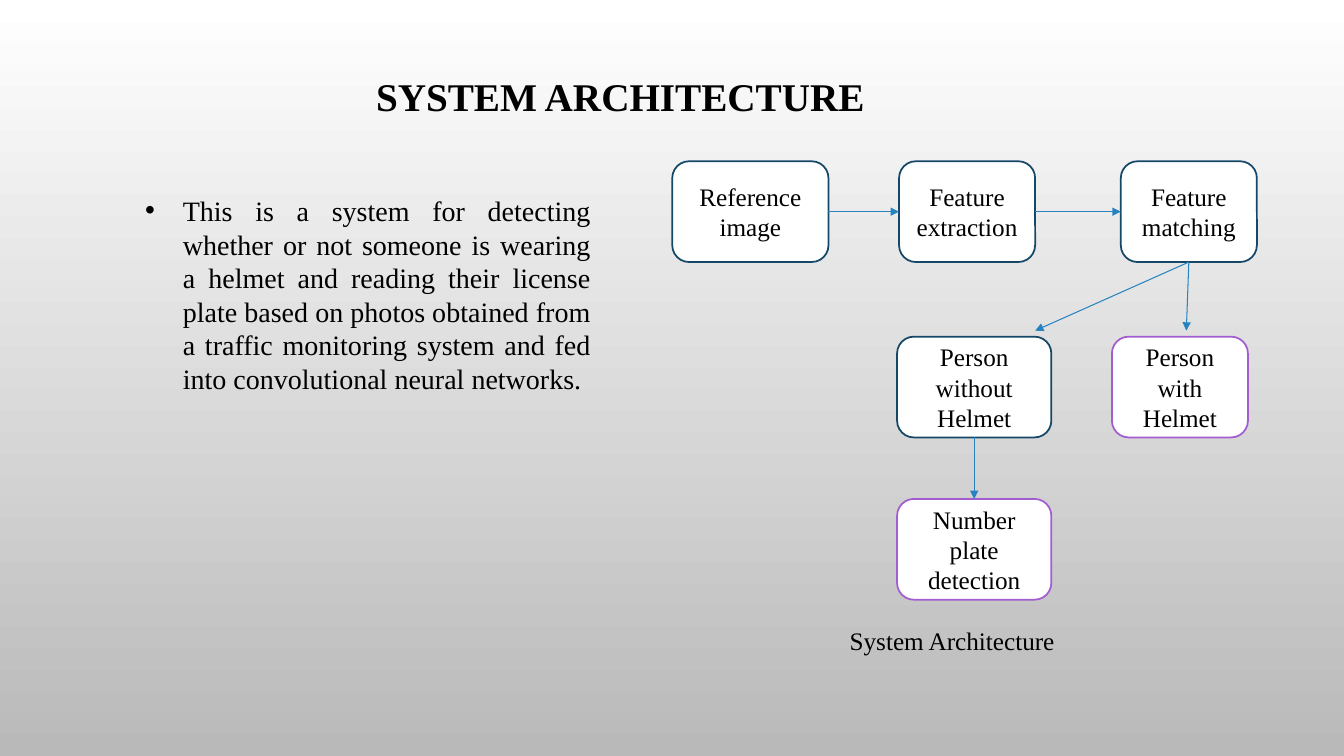
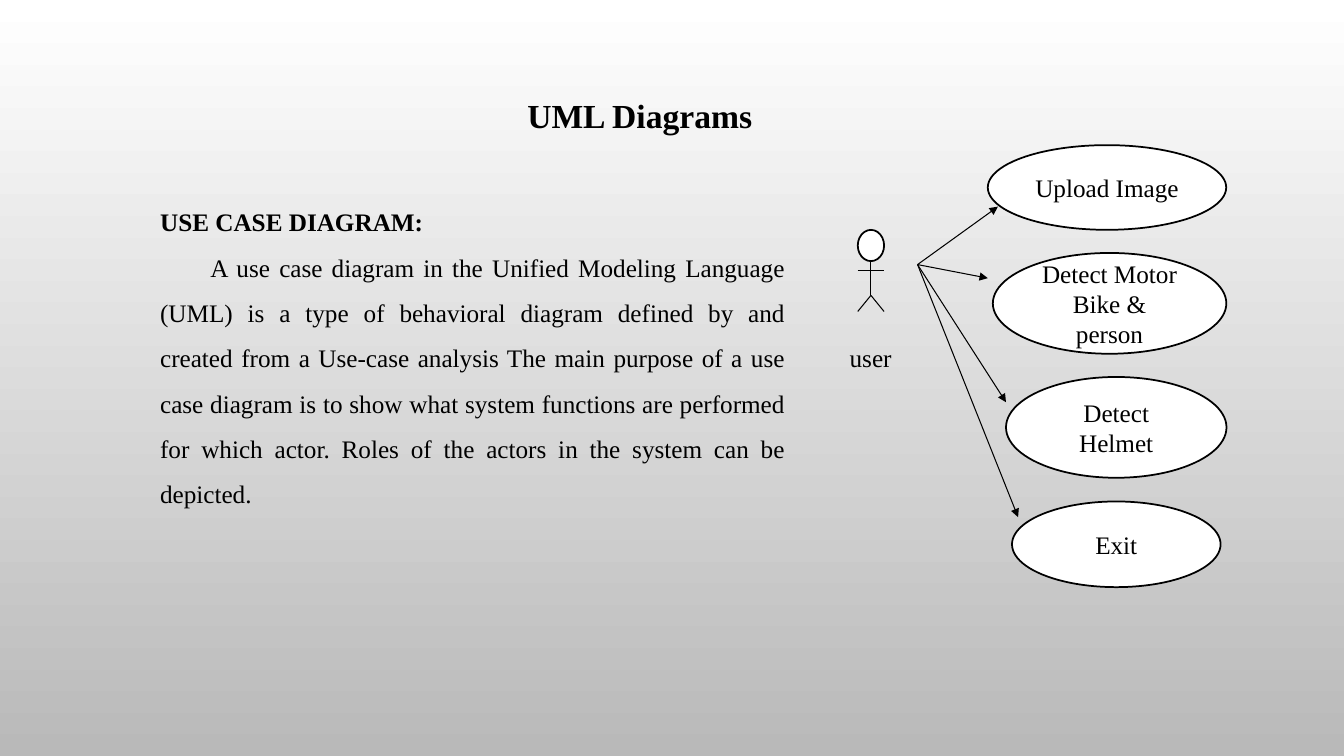
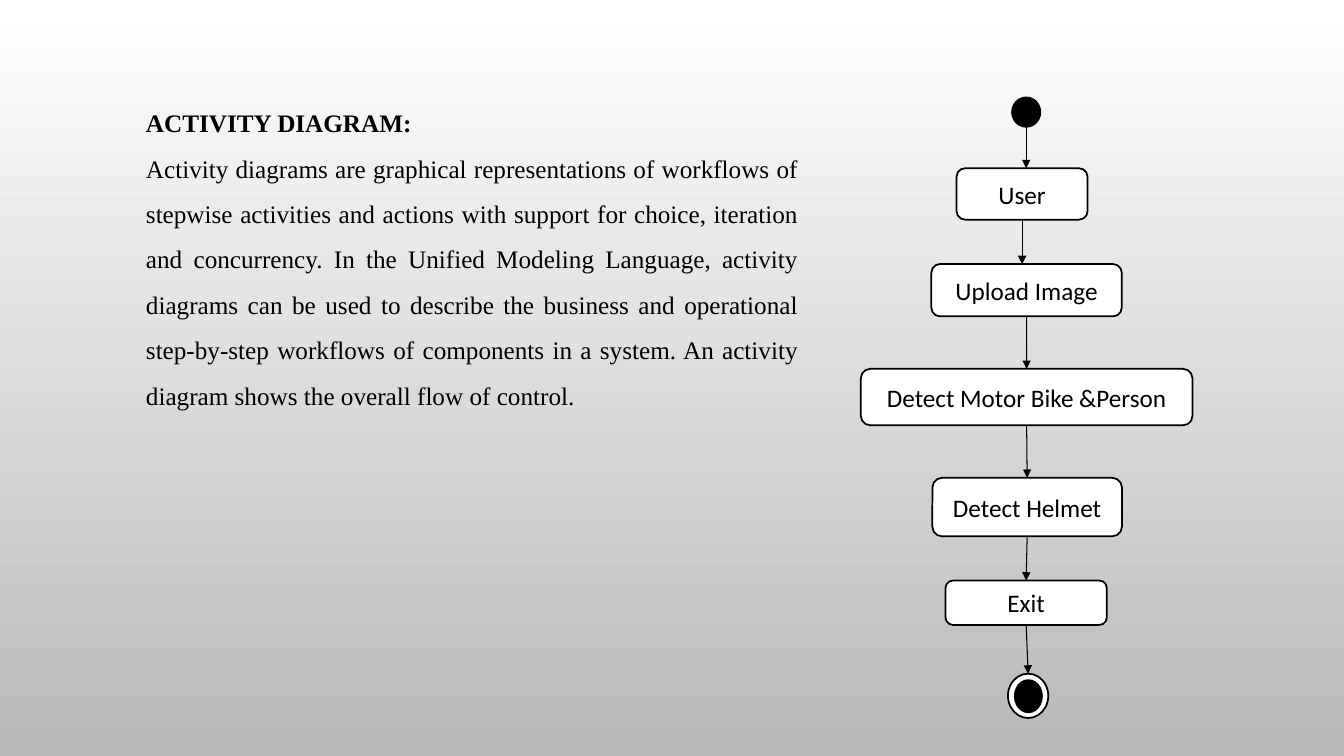
from lxml.etree import SubElement
from pptx import Presentation
from pptx.dml.color import RGBColor
from pptx.enum.shapes import MSO_CONNECTOR, MSO_SHAPE
from pptx.enum.text import MSO_ANCHOR, MSO_AUTO_SIZE, PP_ALIGN
from pptx.oxml.ns import qn
from pptx.util import Pt

COLORS = {
    "ink": "000000",
    "paper": "FFFFFF",
    "shade": "B9B9B9",
    "step": "154768",
    "result": "A35DD1",
    "arrow": "2683BF",
}
SERIF, SANS = "Times New Roman", "Calibri"
TITLE_ONLY, BLANK = 5, 6
TOP, LEFT, BOTTOM, RIGHT = range(4)


def color(name):
    return RGBColor.from_string(COLORS[name])


def is_joint(tip):
    """Tell a (node, side) pair from an (x, y) point."""
    return not isinstance(tip[0], (int, float))


class Deck:
    def __init__(self):
        self.prs = Presentation()
        self.prs.slide_width, self.prs.slide_height = Pt(960), Pt(540)
        self.slide = None
        backdrop = self.prs.slide_master.background.fill
        backdrop.gradient()
        backdrop.gradient_angle = 270
        for stop, name in zip(backdrop.gradient_stops, ("paper", "shade")):
            stop.color.rgb = color(name)

    def new_slide(self, layout):
        self.slide = self.prs.slides.add_slide(self.prs.slide_layouts[layout])

    def text_run(self, paragraph, text, size=18, bold=False, font=SERIF):
        run = paragraph.add_run()
        run.text = text
        run.font.name, run.font.size, run.font.bold = font, Pt(size), bold
        run.font.color.rgb = color("ink")

    def title(self, text, left, top, width, height, size):
        title = self.slide.shapes.title
        title.left, title.top = Pt(left), Pt(top)
        title.width, title.height = Pt(width), Pt(height)
        frame = title.text_frame
        frame.vertical_anchor = MSO_ANCHOR.TOP
        frame.auto_size = MSO_AUTO_SIZE.SHAPE_TO_FIT_TEXT
        frame.paragraphs[0].alignment = PP_ALIGN.LEFT
        self.text_run(frame.paragraphs[0], text, size, bold=True)

    def text_box(self, left, top, width, height, wrap=True):
        box = self.slide.shapes.add_textbox(Pt(left), Pt(top), Pt(width), Pt(height))
        box.text_frame.word_wrap = wrap
        box.text_frame.auto_size = MSO_AUTO_SIZE.SHAPE_TO_FIT_TEXT
        return box.text_frame

    def caption(self, text, left, top, width, wrap=True):
        frame = self.text_box(left, top, width, 29, wrap)
        self.text_run(frame.paragraphs[0], text)

    def bullet(self, text, left, top, width, height, size):
        paragraph = self.text_box(left, top, width, height).paragraphs[0]
        paragraph.alignment = PP_ALIGN.JUSTIFY
        props = paragraph._p.get_or_add_pPr()
        props.set("marL", str(Pt(27)))
        props.set("indent", str(-Pt(27)))
        SubElement(props, qn("a:buFont"), typeface="Arial")
        SubElement(props, qn("a:buChar"), char="•")
        self.text_run(paragraph, text, size)

    def section(self, heading, body, left, top, width, height,
                heading_spacing=1.0, first_indent=0):
        frame = self.text_box(left, top, width, height)
        head, explanation = frame.paragraphs[0], frame.add_paragraph()
        head.line_spacing, explanation.line_spacing = heading_spacing, 1.5
        explanation.alignment = PP_ALIGN.JUSTIFY
        explanation._p.get_or_add_pPr().set("indent", str(Pt(first_indent)))
        self.text_run(head, heading, bold=True)
        self.text_run(explanation, body)

    def node(self, kind, left, top, width, height, text="",
             fill="paper", outline="ink", font=SERIF):
        node = self.slide.shapes.add_shape(
            kind, Pt(left), Pt(top), Pt(width), Pt(height))
        node.shadow.inherit = False
        node.fill.solid()
        node.fill.fore_color.rgb = color(fill)
        node.line.color.rgb = color(outline)
        node.line.width = Pt(1.25)
        if text:
            frame = node.text_frame
            frame.word_wrap = True
            frame.vertical_anchor = MSO_ANCHOR.MIDDLE
            frame.paragraphs[0].alignment = PP_ALIGN.CENTER
            self.text_run(frame.paragraphs[0], text, font=font)
        return node

    def link(self, start, end, stroke="ink", arrow=True):
        """Draw a line; each end is an (x, y) point or a (node, side) pair."""
        points = [(0, 0) if is_joint(tip) else tip for tip in (start, end)]
        link = self.slide.shapes.add_connector(
            MSO_CONNECTOR.STRAIGHT, *(Pt(v) for point in points for v in point))
        for tip, connect in ((start, link.begin_connect), (end, link.end_connect)):
            if is_joint(tip):
                connect(*tip)
        link.line.color.rgb = color(stroke)
        link.line.width = Pt(0.75)
        props = link._element.spPr
        if arrow:
            SubElement(props.find(qn("a:ln")), qn("a:tailEnd"), type="triangle")
        SubElement(props, qn("a:effectLst"))


def architecture_slide(deck):
    deck.new_slide(TITLE_ONLY)
    deck.title("SYSTEM ARCHITECTURE", 261.4, 48.2, 381, 41, 28)
    deck.bullet(
        "This is a system for detecting whether or not someone is wearing a helmet "
        "and reading their license plate based on photos obtained from a traffic "
        "monitoring system and fed into convolutional neural networks.",
        96.5, 134.6, 332.6, 152.6, 20)

    def stage(text, left, top, width, outline="step"):
        return deck.node(MSO_SHAPE.ROUNDED_RECTANGLE, left, top, width, 72,
                         text, outline=outline)

    reference = stage("Reference image", 480.2, 115.2, 111.6)
    extraction = stage("Feature extraction", 642.2, 115.2, 97.2)
    matching = stage("Feature matching", 800.6, 115.2, 97.2)
    without_helmet = stage("Person without Helmet", 640.8, 240.5, 110.2)
    stage("Person with Helmet", 794.2, 240.5, 97.2, "result")
    plate = stage("Number plate detection", 640.8, 356.4, 110.2, "result")

    for start, end in (
        ((reference, RIGHT), (extraction, LEFT)),
        ((extraction, RIGHT), (matching, LEFT)),
        ((matching, BOTTOM), (739.4, 236.2)),
        ((matching, BOTTOM), (847.4, 236.2)),
        ((without_helmet, BOTTOM), (plate, TOP)),
    ):
        deck.link(start, end, "arrow")
    deck.caption("System Architecture", 599.8, 442.8, 198)


def use_case_slide(deck):
    deck.new_slide(TITLE_ONLY)
    deck.title("UML Diagrams", 369.4, 64.1, 222, 36, 24)
    deck.section(
        "USE CASE DIAGRAM:",
        "A use case diagram in the Unified Modeling Language (UML) is a type of "
        "behavioral diagram defined by and created from a Use-case analysis The main "
        "purpose of a use case diagram is to show what system functions are performed "
        "for which actor. Roles of the actors in the system can be depicted.",
        107.3, 133.2, 460.8, 257.8, heading_spacing=1.5, first_indent=36)

    actor_left, actor_mid, actor_right = 612.7, 622.1, 631.5
    neck, arms, hips, feet = 186.5, 193.5, 211, 222.5
    deck.node(MSO_SHAPE.FLOWCHART_CONNECTOR, actor_left, 164.2, 18.8, 22.3)
    for start, end in (
        ((actor_mid, neck), (actor_mid, hips)),
        ((actor_mid, hips), (actor_right, feet)),
        ((actor_mid, hips), (actor_left, feet)),
        ((actor_left, arms), (actor_right, arms)),
    ):
        deck.link(start, end, arrow=False)
    deck.caption("user", 599.8, 241.2, 44.6, wrap=False)

    for text, left, top, width, height, target in (
        ("Upload Image", 705.6, 103.7, 170.3, 60.5, (712.8, 147.6)),
        ("Detect Motor Bike & person", 709.2, 180.7, 166.8, 72, (705.6, 198.7)),
        ("Detect Helmet", 718.6, 269.3, 157.5, 72, (718.6, 287.3)),
        ("Exit", 722.9, 358.2, 149, 61.2, (727.2, 369.4)),
    ):
        deck.node(MSO_SHAPE.OVAL, left, top, width, height, text)
        deck.link((655.4, 189), target)


def activity_slide(deck):
    deck.new_slide(BLANK)
    deck.section(
        "ACTIVITY DIAGRAM:",
        "Activity diagrams are graphical representations of workflows of stepwise "
        "activities and actions with support for choice, iteration and concurrency. "
        "In the Unified Modeling Language, activity diagrams can be used to describe "
        "the business and operational step-by-step workflows of components in a "
        "system. An activity diagram shows the overall flow of control.",
        97.2, 73.4, 480.2, 221.8)

    user, upload, detect_bike, detect_helmet, leave = [
        deck.node(MSO_SHAPE.ROUNDED_RECTANGLE, *place, text, font=SANS)
        for text, place in (
            ("User", (683.3, 120.2, 93.6, 36.7)),
            ("Upload Image", (665.3, 188.6, 136, 37.4)),
            ("Detect Motor Bike &Person", (614.9, 263.5, 236.9, 40.3)),
            ("Detect Helmet", (666, 341.3, 135.4, 41.8)),
            ("Exit", (675.4, 414.7, 115.2, 31.7)),
        )
    ]
    for fill, *place in (
        ("ink", 722.9, 69.6, 20.2, 21),
        ("paper", 720, 481.2, 28.8, 31.7),
        ("ink", 724.9, 485.8, 19.4, 23),
    ):
        deck.node(MSO_SHAPE.FLOWCHART_CONNECTOR, *place, fill=fill)

    deck.link((733, 90.6), (733, 120.2))
    deck.link((user, BOTTOM), (730.1, 188.6))
    steps = (upload, detect_bike, detect_helmet, leave)
    for step, following in zip(steps, steps[1:]):
        deck.link((step, BOTTOM), (following, TOP))
    deck.link((leave, BOTTOM), (734.4, 481.2))


def main():
    deck = Deck()
    architecture_slide(deck)
    use_case_slide(deck)
    activity_slide(deck)
    deck.prs.save("out.pptx")


if __name__ == "__main__":
    main()
